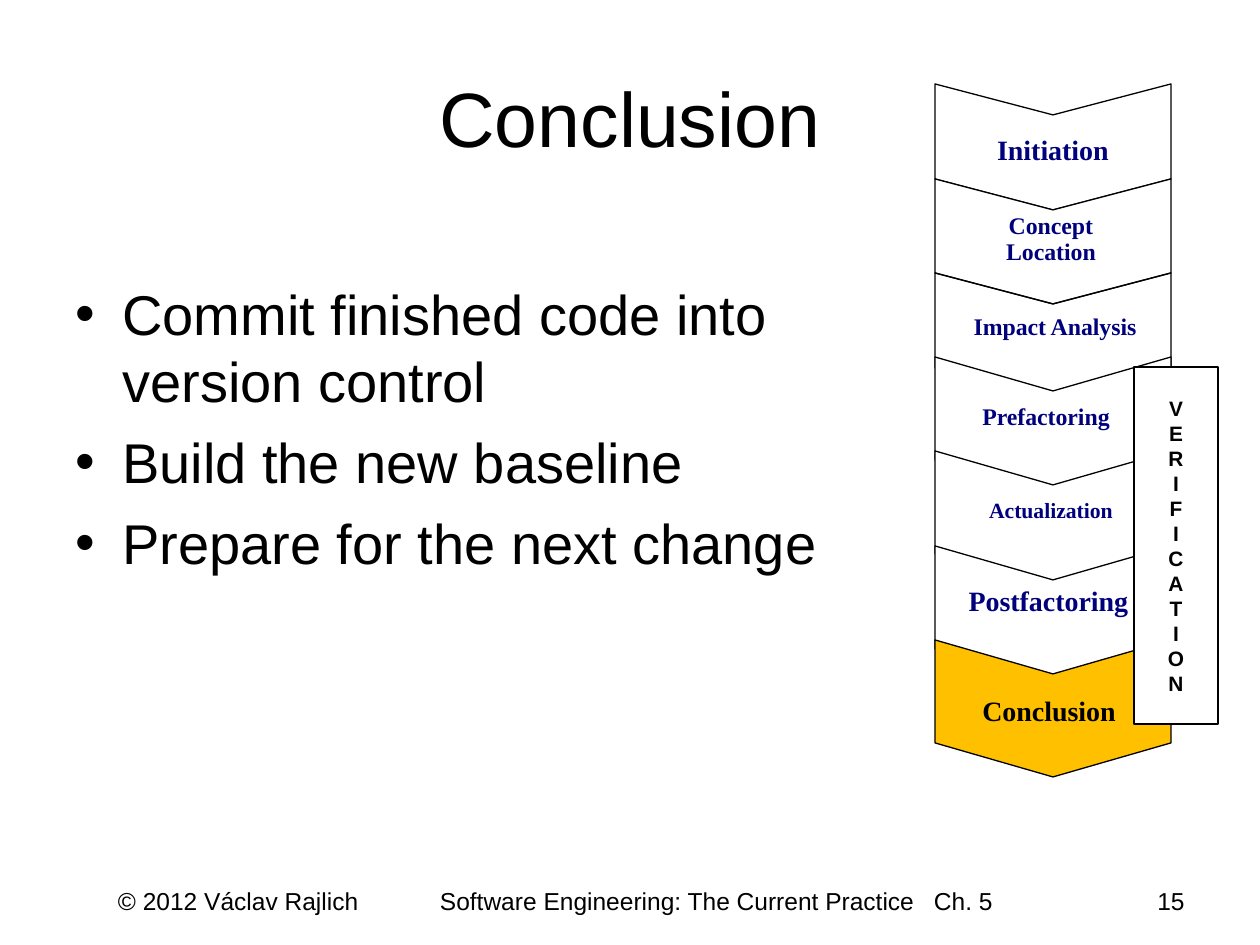
from pptx import Presentation, util as u
from pptx.dml.color import RGBColor
from pptx.enum import shapes, text
from lxml import etree

PX = 914400 // 126  # EMU in one px
NAVY, BLACK, WHITE, GOLD = "00007D", "000000", "FFFFFF", "FFC000"
CENTER, LEFT, RIGHT = text.PP_ALIGN.CENTER, text.PP_ALIGN.LEFT, text.PP_ALIGN.RIGHT


def style(sp, fill):
    sp.shadow.inherit = False
    if fill:
        sp.fill.solid()
        sp.fill.fore_color.rgb = RGBColor.from_string(fill)
    else:
        sp.fill.background()
    sp.line.color.rgb = RGBColor.from_string(BLACK)
    sp.line.width = u.Pt(0.75)


def write(sp, lines, size, color=BLACK, font="Arial", bold=False, align=CENTER, spacing=None):
    tf = sp.text_frame
    tf.word_wrap = True
    for i, line in enumerate(lines):
        p = tf.add_paragraph() if i else tf.paragraphs[0]
        p.alignment = align
        if spacing:
            p.line_spacing = spacing
        r = p.add_run()
        r.text = line
        r.font.name, r.font.size, r.font.bold = font, u.Pt(size), bold
        r.font.color.rgb = RGBColor.from_string(color)
    return tf


prs = Presentation()
prs.slide_width, prs.slide_height = 1260 * PX, 945 * PX
s = prs.slides.add_slide(prs.slide_layouts[5])

# Title
title = s.shapes.title
title.left, title.top, title.width, title.height = [v * PX for v in (63, 38, 1134, 157)]
tf = write(title, ["Conclusion"], 44)
tf.vertical_anchor = text.MSO_ANCHOR.MIDDLE

# Bullets
body = s.shapes.add_textbox(63 * PX, 273 * PX, 882 * PX, 536 * PX)
tf = write(body, ["Commit finished code into version control",
                  "Build the new baseline",
                  "Prepare for the next change"], 32, align=LEFT)
for i, p in enumerate(tf.paragraphs):
    if i:
        p.space_before = u.Pt(8)
    pPr = p._p.get_or_add_pPr()
    pPr.set("marL", str(47 * PX))
    pPr.set("indent", str(-47 * PX))
    ns = pPr.nsmap["a"]
    etree.SubElement(pPr, f"{{{ns}}}buFont", typeface="Arial")
    etree.SubElement(pPr, f"{{{ns}}}buChar", char="•")

# Footer, its parts set apart by tab stops
footer = s.shapes.add_textbox(63 * PX, 880 * PX, 987 * PX, 65 * PX)
tf = write(footer, ["© 2012 Václav Rajlich\tSoftware Engineering: The Current Practice\tCh. 5"],
           14, align=LEFT)
tf.margin_left = 55 * PX
pPr = tf.paragraphs[0]._p.get_or_add_pPr()
tabs = etree.SubElement(pPr, f"{{{ns}}}tabLst")
for stop in (322, 816):
    etree.SubElement(tabs, f"{{{ns}}}tab", pos=str(stop * PX), algn="l")

number = s.shapes.add_textbox(903 * PX, 880 * PX, 294 * PX, 65 * PX)
write(number, ["15"], 14, align=RIGHT)

# Process chevrons: top, side height, notch depth, fill
process = s.shapes.add_group_shape().shapes
x1, mid, x2 = 935, 1053, 1171
for top, side, notch, fill in [
    (84, 95, 31, WHITE), (179, 94, 31, WHITE), (273, 95, 31, None),
    (357, 103, 34, WHITE), (451, 103, 34, WHITE), (546, 103, 34, WHITE), (640, 103, 34, GOLD),
]:
    fb = process.build_freeform(x1, top, scale=PX)
    fb.add_line_segments([(mid, top + notch), (x2, top), (x2, top + side),
                          (mid, top + side + notch), (x1, top + side)], close=True)
    style(fb.convert_to_shape(), fill)

# Phase names: left, top, width, height, size, line spacing, colour
for name, x, y, w, h, size, spacing, color in [
    ("Initiation", 966, 126, 174, 47, 16, None, NAVY),
    ("Concept Location", 949, 208, 204, 73, 13.6, 0.9, NAVY),
    ("Impact Analysis", 945, 309, 220, 43, 13.6, 0.9, NAVY),
    ("Prefactoring", 949, 399, 194, 43, 13.6, 0.9, NAVY),
    ("Actualization", 954, 496, 194, 39, 12.4, 0.8, NAVY),
    ("Postfactoring", 935, 577, 227, 81, 16, None, NAVY),
    ("Conclusion", 952, 687, 194, 47, 16, None, BLACK),
]:
    label = process.add_textbox(x * PX, y * PX, w * PX, h * PX)
    write(label, [name], size, color, "Times New Roman", True, spacing=spacing)

# Verification bar, one letter a line
bar = process.add_shape(shapes.MSO_SHAPE.RECTANGLE, 1134 * PX, 367 * PX, 84 * PX, 357 * PX)
style(bar, WHITE)
tf = write(bar, "VERIFICATION", 11.9, bold=True)
tf.vertical_anchor = text.MSO_ANCHOR.MIDDLE

prs.save("out.pptx")
